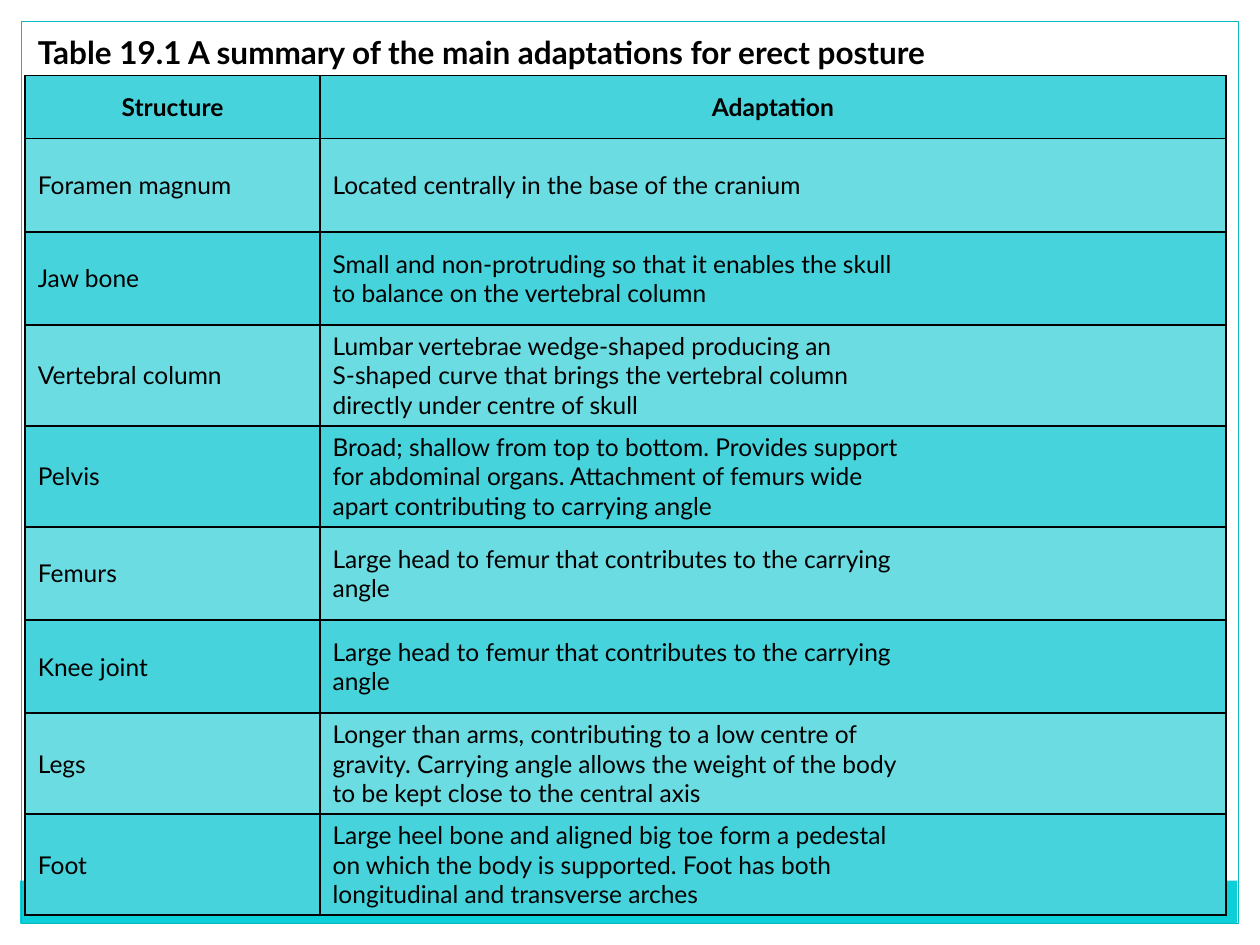
from lxml.etree import SubElement
from pptx import Presentation
from pptx.dml.color import RGBColor
from pptx.enum.shapes import MSO_SHAPE as SHAPE
from pptx.enum.text import MSO_ANCHOR as ANCHOR, MSO_AUTO_SIZE as AUTO, PP_ALIGN as ALIGN
from pptx.oxml.ns import qn
from pptx.util import Inches, Pt

COLORS = {
    "text": "000000",
    "margin": "FFFFFF",
    "footer": "0BD0D9",
    "frame": "0AB8BF",
    "row": "46D3DB",
    "row_light": "6BDCE2",
}

MARGINS = [
    (0, 0, 10, 0.17),
    (9.83, 0, 0.17, 7.5),
    (0, 0, 0.17, 7.5),
]

HEADER = ("Structure", ["Adaptation"])
ADAPTATIONS = [
    ("Foramen magnum", ["Located centrally in the base of the cranium"]),
    ("Jaw bone", ["Small and non-protruding so that it enables the skull",
                  "to balance on the vertebral column"]),
    ("Vertebral column", ["Lumbar vertebrae wedge-shaped producing an",
                          "S-shaped curve that brings the vertebral column",
                          "directly under centre of skull"]),
    ("Pelvis", ["Broad; shallow from top to bottom. Provides support",
                "for abdominal organs. Attachment of femurs wide",
                "apart contributing to carrying angle"]),
    ("Femurs", ["Large head to femur that contributes to the carrying",
                "angle"]),
    ("Knee joint", ["Large head to femur that contributes to the carrying",
                    "angle"]),
    ("Legs", ["Longer than arms, contributing to a low centre of",
              "gravity. Carrying angle allows the weight of the body",
              "to be kept close to the central axis"]),
    ("Foot", ["Large heel bone and aligned big toe form a pedestal",
              "on which the body is supported. Foot has both",
              "longitudinal and transverse arches"]),
]


def rgb(name):
    return RGBColor.from_string(COLORS[name])


def write(tf, lines, size=14, bold=False, align=ALIGN.LEFT, font="Lato", color="text"):
    for i, line in enumerate(lines):
        p = tf.add_paragraph() if i else tf.paragraphs[0]
        p.alignment = align
        r = p.add_run()
        r.text = line
        r.font.name = font
        r.font.size = Pt(size)
        r.font.bold = bold
        r.font.color.rgb = rgb(color)


class SlideBuilder:
    def __init__(self, slide, border=1):
        self.slide = slide
        self.border = border

    def rect(self, left, top, width, height, fill=None, line=None):
        sp = self.slide.shapes.add_shape(
            SHAPE.RECTANGLE, Inches(left), Inches(top), Inches(width), Inches(height))
        sp.shadow.inherit = False
        if fill:
            sp.fill.solid()
            sp.fill.fore_color.rgb = rgb(fill)
        else:
            sp.fill.background()
        if line:
            sp.line.color.rgb = rgb(line)
            sp.line.width = Pt(0.75)
        else:
            sp.line.fill.background()

    def title(self, text, left, top, width, height):
        sp = self.slide.shapes.title
        sp.left, sp.top = Inches(left), Inches(top)
        sp.width, sp.height = Inches(width), Inches(height)
        tf = sp.text_frame
        tf.word_wrap = True
        tf.auto_size = AUTO.SHAPE_TO_FIT_TEXT
        tf.vertical_anchor = ANCHOR.TOP
        write(tf, [text], size=18, bold=True)

    def cell(self, cell, lines, fill, **style):
        tc_pr = cell._tc.get_or_add_tcPr()
        for side in ("a:lnL", "a:lnR", "a:lnT", "a:lnB"):
            ln = SubElement(tc_pr, qn(side), w=str(Pt(self.border)))
            solid = SubElement(ln, qn("a:solidFill"))
            SubElement(solid, qn("a:srgbClr"), val=COLORS["text"])
        cell.fill.solid()
        cell.fill.fore_color.rgb = rgb(fill)
        cell.vertical_anchor = ANCHOR.MIDDLE
        write(cell.text_frame, lines, **style)

    def table(self, rows, left, top, widths, heights):
        table = self.slide.shapes.add_table(
            len(rows), len(widths), Inches(left), Inches(top),
            Inches(sum(widths)), Inches(sum(heights))).table
        for column, width in zip(table.columns, widths):
            column.width = Inches(width)
        for i, (structure, adaptation) in enumerate(rows):
            table.rows[i].height = Inches(heights[i])
            fill = "row_light" if i % 2 else "row"
            style = {} if i else {"bold": True, "align": ALIGN.CENTER}
            self.cell(table.cell(i, 0), [structure], fill, **style)
            self.cell(table.cell(i, 1), adaptation, fill, **style)


def main():
    prs = Presentation()
    prs.slide_width, prs.slide_height = Inches(10), Inches(7.5)
    s = SlideBuilder(prs.slides.add_slide(prs.slide_layouts[5]))
    for box in MARGINS:
        s.rect(*box, fill="margin")
    s.rect(0.16, 6.99, 9.66, 0.34, fill="footer")
    s.rect(0.17, 0.17, 9.66, 7.16, line="frame")
    s.title("Table 19.1 A summary of the main adaptations for erect posture",
            0.2, 0.21, 9.45, 0.4)
    s.table([HEADER] + ADAPTATIONS, 0.2, 0.6, [2.34, 7.19],
            [0.5] + [0.74] * len(ADAPTATIONS))
    prs.save("out.pptx")


if __name__ == "__main__":
    main()
